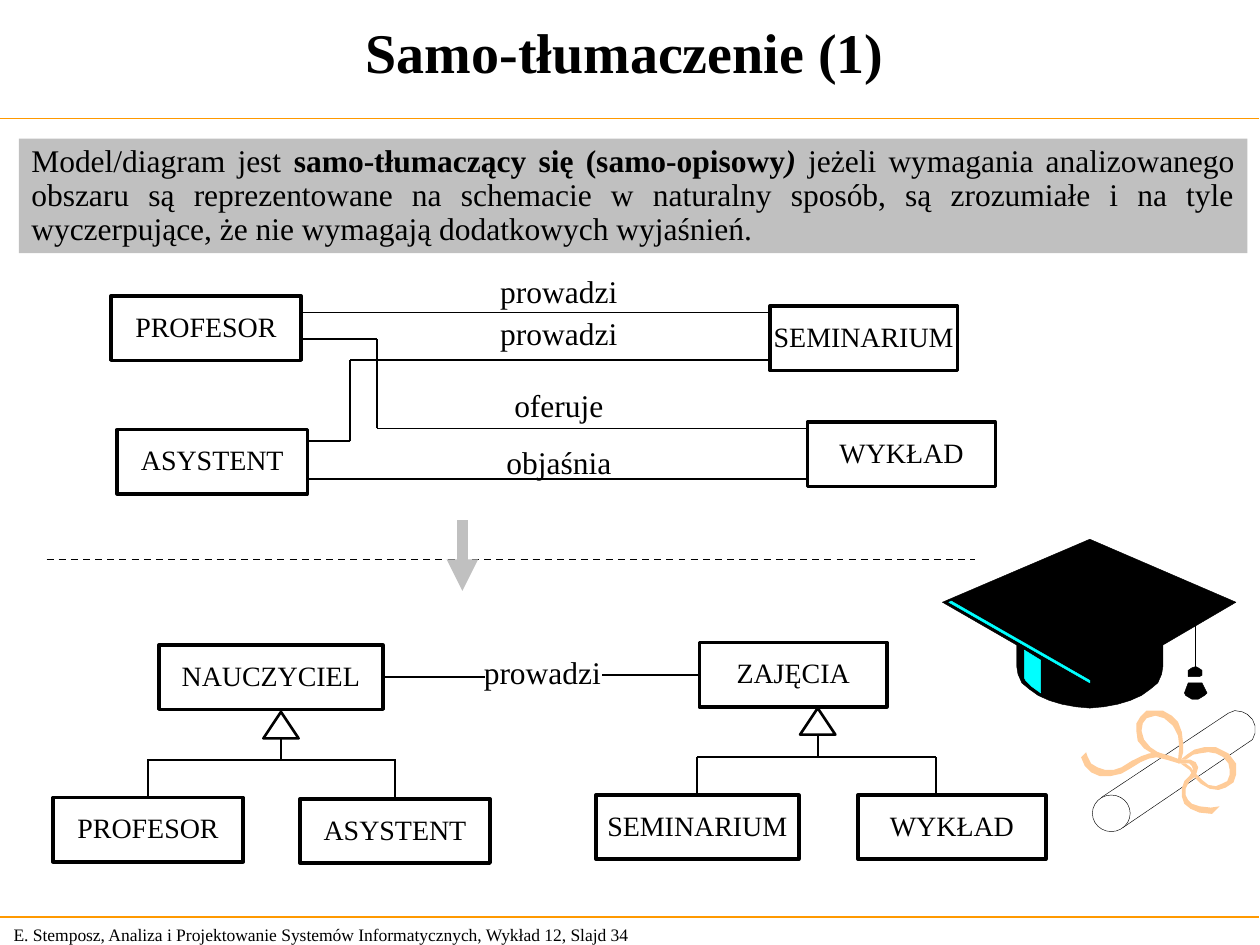
"""Build the slide on self-explanatory diagrams."""
from math import cos, pi, sin

from lxml import etree
from pptx import Presentation
from pptx.dml.color import RGBColor
from pptx.enum.dml import MSO_LINE
from pptx.enum.shapes import MSO_CONNECTOR, MSO_SHAPE
from pptx.enum.text import MSO_ANCHOR, PP_ALIGN
from pptx.oxml.ns import qn
from pptx.util import Inches, Pt

RECT, OVAL, PEAK = MSO_SHAPE.RECTANGLE, MSO_SHAPE.OVAL, MSO_SHAPE.ISOSCELES_TRIANGLE
LEFT, CENTER, FULL = PP_ALIGN.LEFT, PP_ALIGN.CENTER, PP_ALIGN.JUSTIFY
MIDDLE, TOP = MSO_ANCHOR.MIDDLE, MSO_ANCHOR.TOP
STRAIGHT, DASH = MSO_CONNECTOR.STRAIGHT, MSO_LINE.DASH
BLACK, WHITE, GRAY = "000000", "FFFFFF", "C0C0C0"
ORANGE, CYAN, PEACH = "FF9900", "00FFFF", "FFCC99"
HAIR = 0.25
color = RGBColor.from_string

deck = Presentation()
deck.slide_width, deck.slide_height = Inches(10), Inches(7.5)
shapes = deck.slides.add_slide(deck.slide_layouts[6]).shapes


def write(shape, runs, size, align=CENTER, wrap=False, space=0.9, anchor=MIDDLE, bold=None):
    frame = shape.text_frame
    frame.word_wrap = wrap
    frame.vertical_anchor = anchor
    para = frame.paragraphs[0]
    para.alignment = align
    para.line_spacing = space
    para.font.name = "Times New Roman"
    para.font.size = Pt(size)
    para.font.bold = bold
    para.font.color.rgb = color(BLACK)
    for text, strong, slant in runs:
        run = para.add_run()
        run.text = text
        if strong:
            run.font.bold = True
        if slant:
            run.font.italic = True


def wire(x1, y1, x2, y2, tint=BLACK, width=1):
    line = shapes.add_connector(STRAIGHT, Inches(x1), Inches(y1), Inches(x2), Inches(y2))
    line.line.color.rgb = color(tint)
    line.line.width = Pt(width)
    etree.SubElement(line._element.spPr, qn("a:effectLst"))
    return line


for y in (0.94, 7.28):
    wire(-0.01, y, 9.99, y, ORANGE, 1)
foot = shapes.add_textbox(Inches(0.01), Inches(7.28), Inches(5.24), Inches(0.27))
write(foot, [("E. Stemposz, Analiza i Projektowanie Systemów Informatycznych, "
              "Wykład 12, Slajd 34", False, False)], 10, LEFT, space=1)
title = shapes.add_textbox(Inches(0), Inches(-0.02), Inches(9.92), Inches(0.85))
write(title, [("Samo-tłumaczenie (1)", False, False)], 32, wrap=True, space=1, bold=True)

boxes = []
for name, x, y, width in [
    ("PROFESOR", 0.88, 2.35, 1.51), ("SEMINARIUM", 6.11, 2.43, 1.49),
    ("WYKŁAD", 6.41, 3.35, 1.49), ("ASYSTENT", 0.93, 3.41, 1.51),
    ("NAUCZYCIEL", 1.26, 5.12, 1.78), ("ZAJĘCIA", 5.55, 5.1, 1.49),
    ("PROFESOR", 0.42, 6.33, 1.51), ("ASYSTENT", 2.38, 6.34, 1.51),
    ("SEMINARIUM", 4.73, 6.31, 1.61), ("WYKŁAD", 6.81, 6.31, 1.49),
]:
    box = shapes.add_shape(RECT, Inches(x), Inches(y), Inches(width), Inches(0.51))
    box.shadow.inherit = False
    box.fill.background()
    box.line.color.rgb = color(BLACK)
    box.line.width = Pt(2)
    write(box, [(name, False, False)], 16)
    boxes.append(box)
teacher, classes, prof, aide, seminar = boxes[4:9]

for name, x, y, height in [
    ("prowadzi", 3.94, 2.14, 0.37), ("prowadzi", 3.94, 2.46, 0.4),
    ("oferuje", 3.94, 3.02, 0.43), ("objaśnia", 3.94, 3.51, 0.35),
    ("prowadzi", 3.81, 5.05, 0.6),
]:
    label = shapes.add_textbox(Inches(x), Inches(y), Inches(0.99), Inches(height))
    label.text_frame.margin_left = label.text_frame.margin_right = 0
    write(label, [(name, False, False)], 18)

for ends in [
    (2.4, 2.48, 6.1, 2.48), (6.1, 2.86, 2.78, 2.86), (2.78, 2.86, 2.78, 3.5),
    (2.78, 3.5, 2.44, 3.5), (2.4, 2.69, 2.99, 2.69), (2.99, 2.69, 2.99, 3.4),
    (2.99, 3.4, 6.4, 3.4), (6.42, 3.8, 2.44, 3.8),
    (1.17, 6.03, 3.14, 6.03), (2.23, 6.03, 2.23, 5.63),
    (5.53, 6.01, 7.43, 6.01), (6.49, 6.01, 6.49, 5.61), (7.43, 6.01, 7.43, 6.3),
]:
    wire(*ends)
for ends, box, side in [
    ((3.85, 5.37, 3.04, 5.37), teacher, 3), ((4.78, 5.35, 5.55, 5.35), classes, 1),
    ((1.17, 6.03, 1.17, 6.33), prof, 0), ((3.13, 6.03, 3.13, 6.34), aide, 0),
    ((5.53, 6.01, 5.53, 6.31), seminar, 0),
]:
    line = wire(*ends)
    line.end_connect(box, side)
    if side == 0:
        line.begin_x = line.end_x
    else:
        line.begin_y = line.end_y

wire(0.37, 4.44, 7.74, 4.44).line.dash_style = DASH
arrow = wire(3.67, 4.13, 3.67, 4.69, GRAY, 6)
etree.SubElement(arrow.line._get_or_add_ln(), qn("a:tailEnd"), type="triangle")

bowl = [(865 + 58 * cos(pi * i / 16), 529 + 33 * sin(pi * i / 16)) for i in range(16, -1, -1)]
cap = [(865, 428), (748, 478), (807, 512), *bowl, (923, 512), (981, 478)]
shine = [(813, 516), (826, 524), (826, 550), (819, 545), (814, 540), (813, 538)]
cord = [(753, 478), (865, 542), (865, 540), (755, 477)]
knot = [(943, 537), (952, 537), (954, 536), (954, 532), (951, 530), (949, 529),
        (946, 530), (943, 532)]
tuft = [(954, 542), (943, 542), (940, 550), (941, 552), (946, 555), (951, 555),
        (956, 552), (958, 550)]
roll = [(874, 633), (975, 566), (980, 564), (986, 565), (990, 567), (994, 571),
        (996, 576), (996, 582), (994, 587), (891, 657)]
tail = [(862, 597), (858, 601), (861, 608), (866, 613), (873, 616), (881, 616),
        (890, 614), (897, 610), (905, 605), (912, 602), (918, 601), (926, 603),
        (936, 606), (937, 603), (929, 600), (919, 597), (912, 598), (906, 600),
        (898, 604), (890, 609), (884, 611), (877, 611), (871, 609), (866, 606), (863, 600)]
strip = [(937, 603), (945, 603), (949, 605), (951, 609), (949, 616), (944, 620),
         (941, 626), (941, 631), (943, 635), (946, 638), (952, 640), (961, 641),
         (968, 640), (962, 646), (952, 645), (945, 642), (940, 638), (938, 632),
         (938, 626), (940, 620), (944, 616), (947, 611), (946, 608), (944, 606), (935, 606)]
loop = [(935, 603), (936, 593), (935, 584), (931, 576), (924, 570), (917, 568),
        (910, 570), (907, 574), (906, 580), (908, 587), (913, 593), (919, 597),
        (930, 602), (916, 599), (908, 594), (903, 588), (902, 581), (902, 574),
        (905, 569), (910, 564), (923, 564), (930, 568), (935, 573), (938, 581),
        (939, 590), (939, 597), (937, 605)]
bow = [(937, 603), (942, 599), (948, 595), (956, 593), (965, 593), (975, 598),
       (981, 606), (981, 615), (979, 621), (973, 625), (967, 627), (960, 626),
       (953, 622), (948, 617), (944, 611), (937, 606), (941, 606), (945, 609),
       (949, 614), (954, 619), (959, 623), (965, 624), (970, 622), (974, 620),
       (976, 615), (976, 611), (975, 606), (971, 601), (965, 598), (959, 597),
       (952, 598), (947, 599), (941, 603)]

wire(9.49, 4.64, 9.49, 5.29, BLACK, HAIR)
parts = []
for points, fill, edge in [
    (cap, BLACK, BLACK), (shine, CYAN, CYAN), (cord, CYAN, CYAN), (knot, BLACK, BLACK),
    (tuft, BLACK, BLACK), (roll, WHITE, BLACK), (None, WHITE, BLACK), (tail, PEACH, None),
    (strip, PEACH, None), (loop, PEACH, None), (bow, PEACH, None),
]:
    if points:
        path = shapes.build_freeform(*points[0], scale=Inches(0.01))
        path.add_line_segments(points[1:], close=True)
        part = path.convert_to_shape()
    else:
        part = shapes.add_shape(OVAL, Inches(8.67), Inches(6.31), Inches(0.3), Inches(0.29))
    parts.append((part, fill, edge, HAIR))

for x, y in [(6.35, 5.62), (2.09, 5.65)]:
    peak = shapes.add_shape(PEAK, Inches(x), Inches(y), Inches(0.28), Inches(0.21))
    parts.append((peak, WHITE, BLACK, 1.5))
panel = shapes.add_shape(RECT, Inches(0.15), Inches(1.1), Inches(9.75), Inches(0.91))
parts.append((panel, GRAY, None, HAIR))

for part, fill, edge, width in parts:
    part.shadow.inherit = False
    part.fill.solid()
    part.fill.fore_color.rgb = color(fill)
    if edge:
        part.line.color.rgb = color(edge)
        part.line.width = Pt(width)
    else:
        part.line.fill.background()

write(panel, [
    ("Model/diagram jest ", False, False),
    ("samo-tłumaczący się (samo-opisowy", True, False),
    (")", True, True),
    (" jeżeli wymagania analizowanego obszaru są reprezentowane na schemacie w naturalny "
     "sposób, są zrozumiałe i na tyle wyczerpujące, że nie wymagają dodatkowych wyjaśnień.",
     False, False),
], 18, FULL, wrap=True, anchor=TOP)

deck.save("out.pptx")
